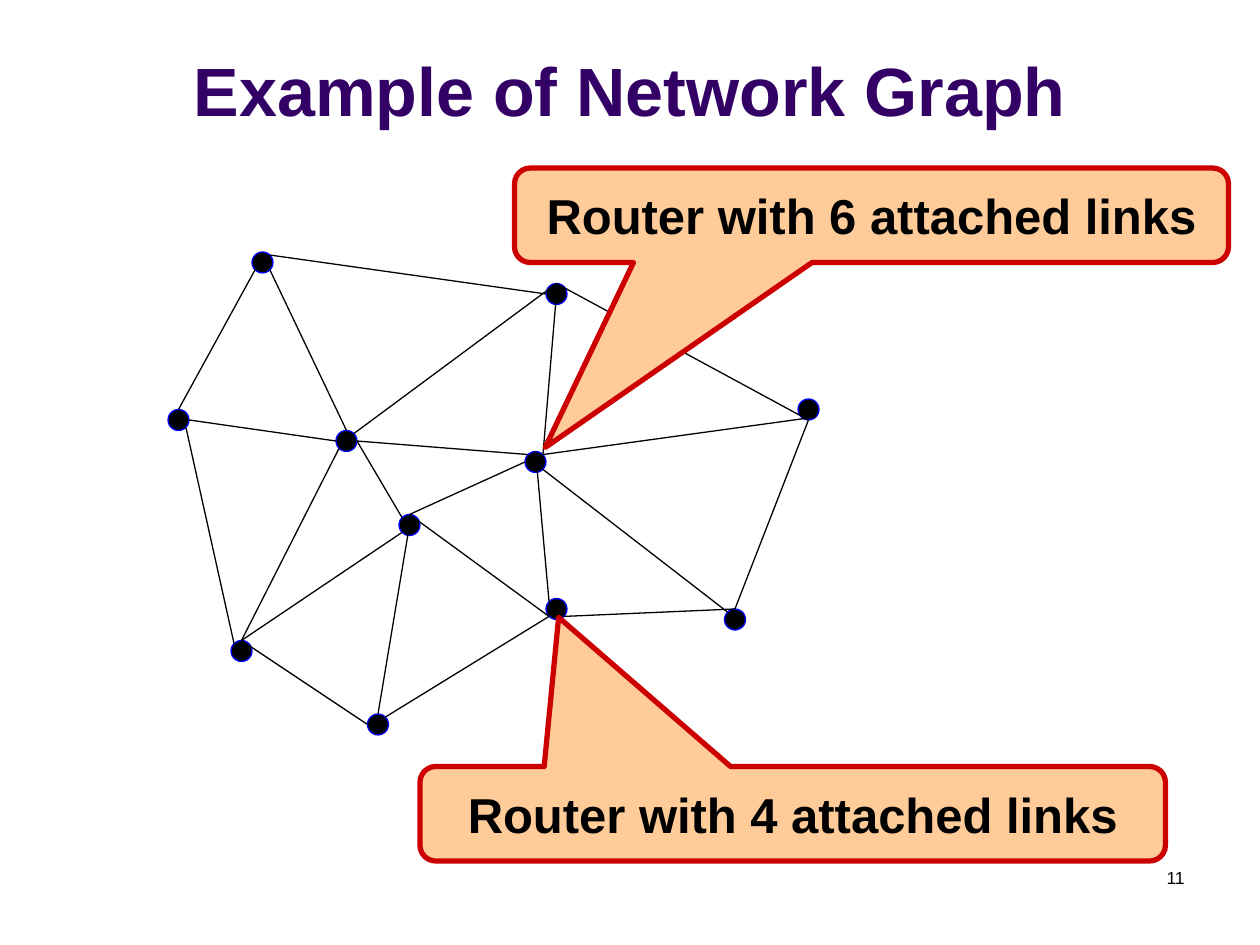
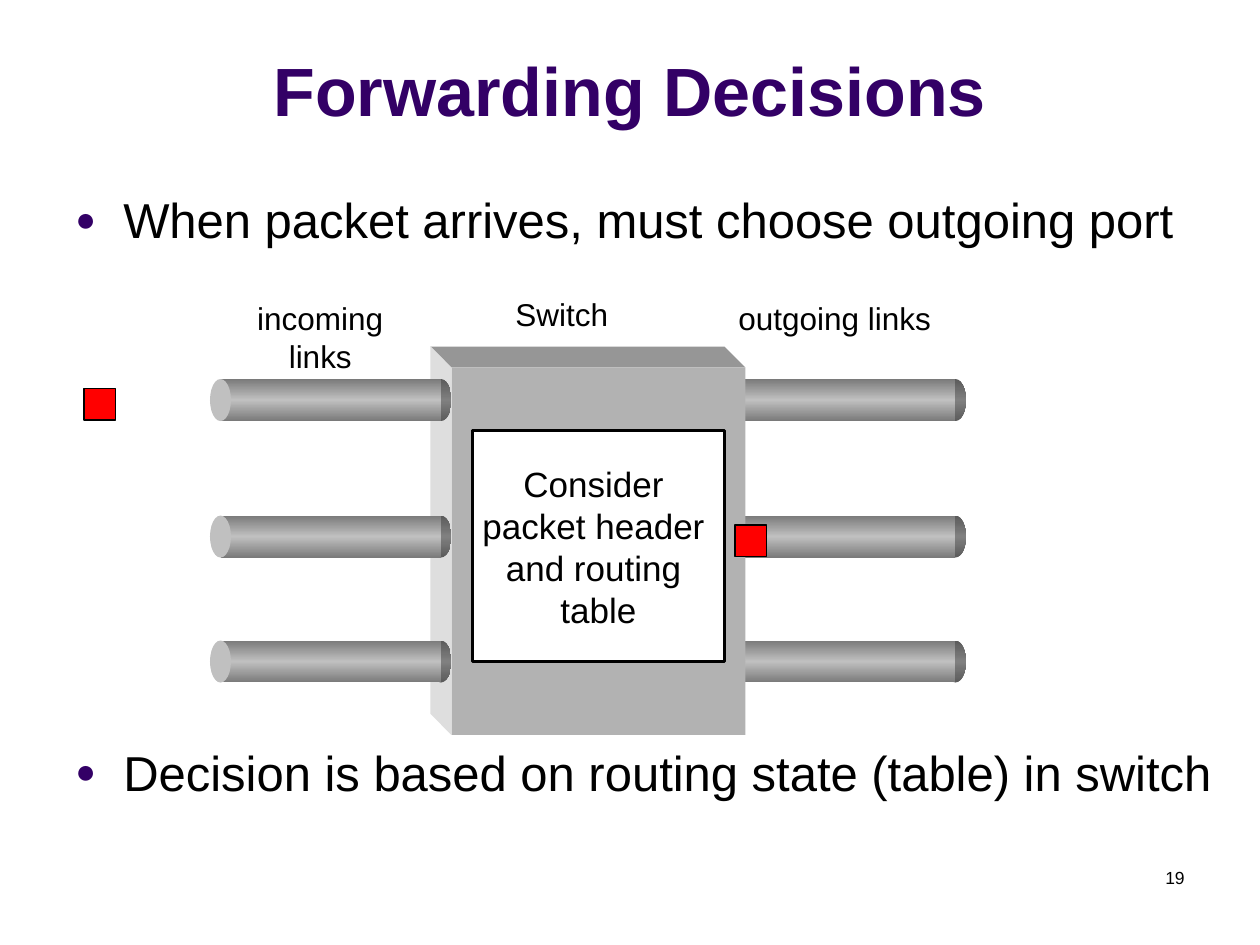
from copy import deepcopy
from pptx import Presentation
from pptx.dml.color import RGBColor
from pptx.enum.shapes import MSO_CONNECTOR, MSO_SHAPE
from pptx.enum.text import MSO_ANCHOR, MSO_AUTO_SIZE, PP_ALIGN
from pptx.oxml.ns import qn
from pptx.util import Inches, Pt
from lxml.etree import SubElement

FONT = "Arial"
COLORS = {
    "title": "330066", "text": "000000", "paper": "FFFFFF",
    "node_line": "0000FF", "callout": "FFCC99", "callout_line": "CC0000",
    "packet": "FF0000", "front": "B2B2B2", "roof": "969696", "side": "DEDEDE",
    "tube_edge": "7A7A7A", "tube_mid": "C0C0C0",
    "cap_edge": "5B5B5B", "cap_mid": "808080",
}
COLS, ROWS = 120, 90
CELL = Inches(10) / COLS

NODE_SIZE = 2
NODES = {
    "A": (24, 24), "B": (16, 39), "C": (52, 27), "D": (52, 57),
    "E": (35, 68), "F": (32, 41), "G": (76, 38), "H": (38, 49),
    "I": (22, 61), "J": (50, 43), "K": (69, 58),
}
DIAG = 0.71
SITES = {
    "mid": (0, 0), "n": (0, -1), "s": (0, 1), "w": (-1, 0), "e": (1, 0),
    "nw": (-DIAG, -DIAG), "ne": (DIAG, -DIAG),
    "sw": (-DIAG, DIAG), "se": (DIAG, DIAG),
}
LINKS = [
    ("A", "se", "F", "n"), ("A", "sw", "B", "n"), ("B", "se", "I", "nw"),
    ("F", "e", "H", "nw"), ("J", "se", "K", "nw"), ("C", "mid", "J", "ne"),
    ("C", "n", "G", "s"), ("G", "s", "K", "n"), ("I", "n", "E", "w"),
    ("H", "n", "D", "sw"), ("K", "n", "D", "se"), ("J", "n", "D", "nw"),
    ("H", "mid", "E", "n"), ("F", "e", "J", "nw"), ("B", "e", "F", "w"),
    ("I", "n", "H", "sw"), ("E", "ne", "D", "sw"), ("I", "n", "F", "sw"),
    ("H", "n", "J", "w"), ("J", "ne", "G", "se"), ("A", "ne", "C", "w"),
    ("F", "ne", "C", "n"),
]


def cells(*counts):
    return [round(n * CELL) for n in counts]


def rgb(name):
    return RGBColor.from_string(COLORS[name])


def add_run(p, text, size, color="text", bold=False):
    r = p.add_run()
    r.text = text
    r.font.name, r.font.size, r.font.bold = FONT, Pt(size), bold
    r.font.color.rgb = rgb(color)


def paint(sp, fill=None, line=None, width=0.75):
    sp.shadow.inherit = False
    if fill:
        sp.fill.solid()
        sp.fill.fore_color.rgb = rgb(fill)
    if line:
        sp.line.color.rgb = rgb(line)
        sp.line.width = Pt(width)
    else:
        sp.line.fill.background()


def add_block(s, kind, box, fill=None, line=None, width=0.75):
    sp = s.shapes.add_shape(kind, *cells(*box))
    paint(sp, fill, line, width)
    return sp


def shade(sp, edge, middle):
    sp.fill.gradient()
    sp.fill.gradient_angle = 90
    stops = sp._element.spPr.find(".//" + qn("a:gsLst"))
    stops.append(deepcopy(stops[0]))
    for stop, position, color in zip(sp.fill.gradient_stops, (0, 0.5, 1), (edge, middle, edge)):
        stop.position = position
        stop.color.rgb = rgb(color)


def center_lines(sp, lines, size, bold=False):
    tf = sp.text_frame
    tf.word_wrap = False
    tf.vertical_anchor = MSO_ANCHOR.MIDDLE
    for i, line in enumerate(lines):
        p = tf.paragraphs[0] if i == 0 else tf.add_paragraph()
        p.alignment = PP_ALIGN.CENTER
        add_run(p, line, size, bold=bold)


def add_text(s, box, text, size, align, inset=True):
    sp = s.shapes.add_textbox(*cells(*box))
    tf = sp.text_frame
    tf.word_wrap = True
    if not inset:
        tf.margin_left = tf.margin_right = tf.margin_top = tf.margin_bottom = 0
    p = tf.paragraphs[0]
    p.alignment = align
    add_run(p, text, size)


def add_titled_slide(prs, title, number):
    s = prs.slides.add_slide(prs.slide_layouts[5])
    sp = s.shapes.title
    sp.left, sp.top, sp.width, sp.height = cells(0, 1.5, COLS, 11.5)
    tf = sp.text_frame
    tf.auto_size = MSO_AUTO_SIZE.NONE
    tf.vertical_anchor = MSO_ANCHOR.BOTTOM
    tf.paragraphs[0].alignment = PP_ALIGN.CENTER
    add_run(tf.paragraphs[0], title, 39, "title", True)
    add_text(s, (86, 82, 28, 6), number, 10, PP_ALIGN.RIGHT)
    return s


def site_point(node, site):
    radius = NODE_SIZE / 2
    return cells(*(start + radius * (1 + shift)
                   for start, shift in zip(NODES[node], SITES[site])))


def draw_network(s):
    for col, row in NODES.values():
        add_block(s, MSO_SHAPE.OVAL, (col, row, NODE_SIZE, NODE_SIZE), "text", "node_line")
    for start, start_site, end, end_site in LINKS:
        link = s.shapes.add_connector(
            MSO_CONNECTOR.STRAIGHT, *site_point(start, start_site), *site_point(end, end_site))
        link.line.color.rgb = rgb("text")
        link.line.width = Pt(0.75)
        SubElement(link._element.spPr, qn("a:effectLst"))


def draw_callout(s, box, tip, text):
    sp = add_block(s, MSO_SHAPE.ROUNDED_RECTANGULAR_CALLOUT, box, "callout", "callout_line", 3)
    sp.adjustments[0], sp.adjustments[1] = tip
    center_lines(sp, [text], 28, True)


def draw_tube(s, col, row):
    cap, length, height = 2, 21, 4
    end = add_block(s, MSO_SHAPE.OVAL, (col + length, row, cap, height))
    shade(end, "cap_edge", "cap_mid")
    barrel = add_block(s, MSO_SHAPE.RECTANGLE, (col + cap / 2, row, length, height))
    shade(barrel, "tube_edge", "tube_mid")
    add_block(s, MSO_SHAPE.OVAL, (col, row, cap, height), "tube_mid")


def draw_face(s, points, fill):
    outline = [tuple(cells(*point)) for point in points]
    builder = s.shapes.build_freeform(*outline[0])
    builder.add_line_segments(outline[1:])
    paint(builder.convert_to_shape(), fill)


def draw_cabinet(s, box, depth):
    left, top, width, height = box
    right, bottom = left + width, top + height
    back = (left - depth, top - depth)
    draw_face(s, [(left, top), back, (right - depth, top - depth), (right, top)], "roof")
    draw_face(s, [(left, top), back, (left - depth, bottom - depth), (left, bottom)], "side")
    add_block(s, MSO_SHAPE.RECTANGLE, box, "front")


def draw_switch(s, col, row):
    tube_rows = [row + offset for offset in (1.1, 14.1, 26)]
    for tube_row in tube_rows:
        draw_tube(s, col + 26, tube_row)
    draw_cabinet(s, (col, row, 28, 35), 2)
    for tube_row in tube_rows:
        draw_tube(s, col - 23, tube_row)
    for label, label_col, label_row, width in (
            ("incoming links", -20, -6.5, 15), ("outgoing links", 26.5, -6.5, 20),
            ("Switch", 5.5, -6.9, 10)):
        add_text(s, (col + label_col, row + label_row, width, 4), label, 18,
                 PP_ALIGN.CENTER, inset=False)
    for packet_col, packet_row in ((-35, 2), (27, 15)):
        add_block(s, MSO_SHAPE.RECTANGLE, (col + packet_col, row + packet_row, 3, 3),
                  "packet", "text")
    note = add_block(s, MSO_SHAPE.RECTANGLE, (col + 2, row + 6, 24, 22), "paper", "text", 2)
    center_lines(note, ["Consider ", "packet header ", "and routing ", "table"], 20)


def add_bullets(s, box, bullets, gap):
    tf = s.shapes.add_textbox(*cells(*box)).text_frame
    tf.word_wrap = True
    for i, text in enumerate(bullets):
        p = tf.paragraphs[0] if i == 0 else tf.add_paragraph()
        if i:
            p.space_before = Pt(gap)
        pPr = p._p.get_or_add_pPr()
        pPr.set("marL", str(Inches(0.38)))
        pPr.set("indent", str(-Inches(0.38)))
        color = SubElement(pPr, qn("a:buClr"))
        SubElement(color, qn("a:srgbClr"), val=COLORS["title"])
        SubElement(pPr, qn("a:buSzPct"), val="70000")
        SubElement(pPr, qn("a:buFont"), typeface=FONT)
        SubElement(pPr, qn("a:buChar"), char="●")
        add_run(p, text, 28)


def build_graph_slide(prs):
    s = add_titled_slide(prs, "Example of Network Graph", "11")
    draw_network(s)
    draw_callout(s, (49, 16, 68, 9), (-0.457, 2.458), "Router with 6 attached links")
    draw_callout(s, (40, 73, 71, 9), (-0.314, -2.079), "Router with 4 attached links")


def build_forwarding_slide(prs):
    s = add_titled_slide(prs, "Forwarding Decisions", "19")
    add_bullets(s, (6, 17.5, 112, 63), [
        "When packet arrives, must choose outgoing port",
        "Decision is based on routing state (table) in switch",
    ], 282)
    draw_switch(s, 43, 35)


def main():
    prs = Presentation()
    prs.slide_width, prs.slide_height = cells(COLS, ROWS)
    build_graph_slide(prs)
    build_forwarding_slide(prs)
    prs.save("out.pptx")


if __name__ == "__main__":
    main()
